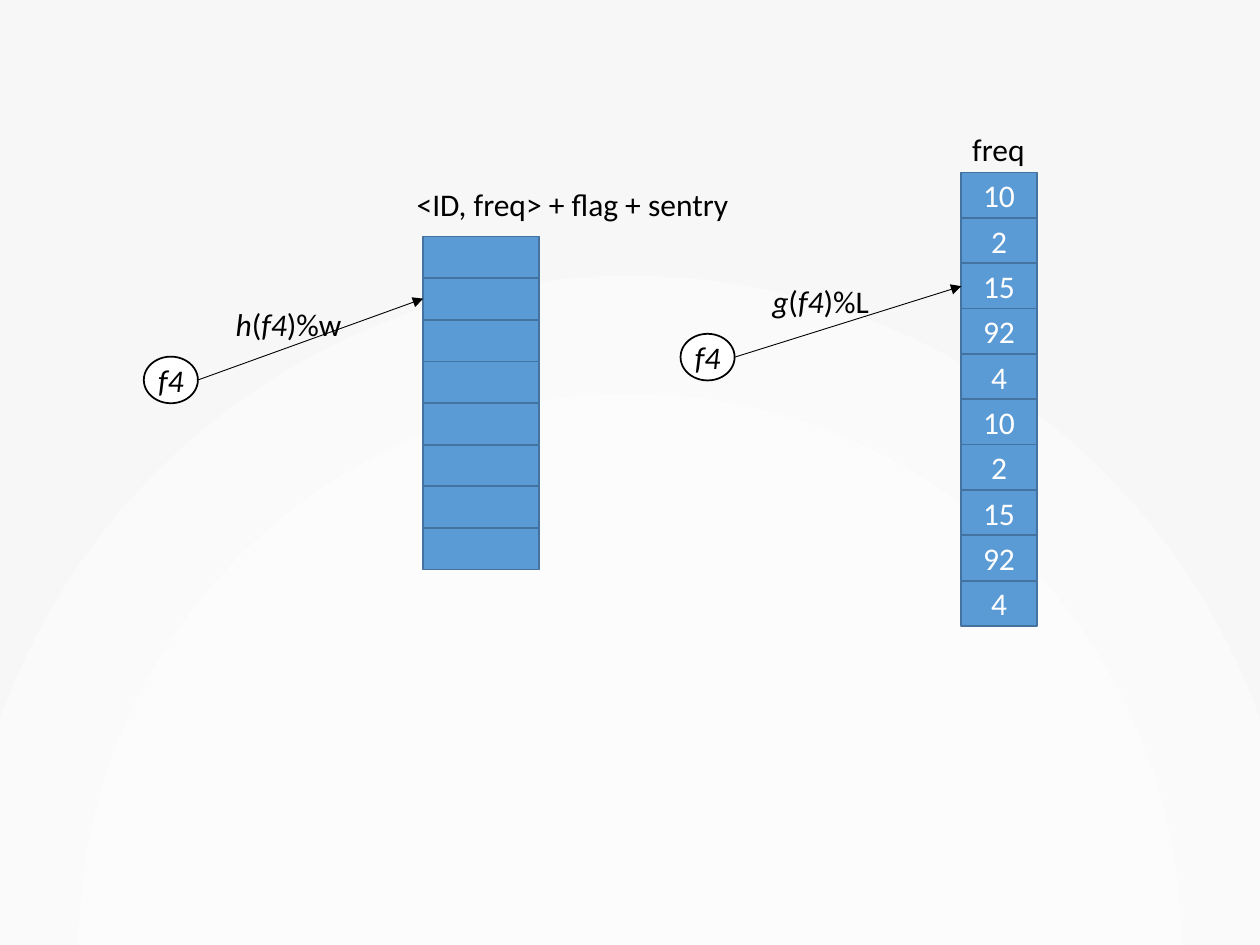
"""Build a slide that maps a flow to a bucket array and to a counter array by hashing."""
from lxml import etree
from pptx import Presentation
from pptx.dml.color import RGBColor
from pptx.enum.shapes import MSO_CONNECTOR, MSO_SHAPE
from pptx.enum.text import MSO_ANCHOR, MSO_AUTO_SIZE, PP_ALIGN
from pptx.oxml import parse_xml
from pptx.oxml.ns import nsdecls, qn
from pptx.util import Cm, Pt

RECTANGLE, OVAL = MSO_SHAPE.RECTANGLE, MSO_SHAPE.OVAL
STRAIGHT = MSO_CONNECTOR.STRAIGHT
MIDDLE, CENTER = MSO_ANCHOR.MIDDLE, PP_ALIGN.CENTER
GROW = MSO_AUTO_SIZE.SHAPE_TO_FIT_TEXT

BLACK = RGBColor(0x00, 0x00, 0x00)
WHITE = RGBColor(0xFF, 0xFF, 0xFF)
BLUE = RGBColor(0x5B, 0x9B, 0xD5)
DARK_BLUE = RGBColor(0x43, 0x73, 0x9E)
GLOW_STOPS = (
    (0, WHITE),
    (55, RGBColor(0xFC, 0xFC, 0xFC)),
    (100, RGBColor(0xF7, 0xF7, 0xF7)),
)

FLOW = "f4"
FLOW_WIDTH, FLOW_HEIGHT = 1.09, 0.94
BUCKETS = [""] * 8
COUNTERS = ["10", "2", "15", "92", "4"] * 2


def set_background(slide):
    stops = "".join(
        f'<a:gs pos="{position * 1000}"><a:srgbClr val="{color}"/></a:gs>'
        for position, color in GLOW_STOPS
    )
    background = parse_xml(
        f'<p:bg {nsdecls("p", "a")}><p:bgPr><a:gradFill rotWithShape="1">'
        f'<a:gsLst>{stops}</a:gsLst><a:path path="circle">'
        '<a:fillToRect l="50000" t="130000" r="50000" b="-30000"/></a:path>'
        "</a:gradFill><a:effectLst/></p:bgPr></p:bg>"
    )
    slide.element.cSld.insert(0, background)


def set_font(font, color):
    font.name = "Calibri"
    font.size = Pt(18)
    font.color.rgb = color


def add_box(slide, kind, left, top, width, height, text, fill, line, color):
    shape = slide.shapes.add_shape(kind, Cm(left), Cm(top), Cm(width), Cm(height))
    shape.shadow.inherit = False
    shape.fill.solid()
    shape.fill.fore_color.rgb = fill
    shape.line.color.rgb = line
    shape.line.width = Pt(1)
    if text:
        shape.text_frame.text = text
        shape.text_frame.vertical_anchor = MIDDLE
        paragraph = shape.text_frame.paragraphs[0]
        paragraph.alignment = CENTER
        set_font(paragraph.font, color)
    return shape


def add_array(slide, left, top, width, height, values):
    row_height = height / len(values)
    for row, value in enumerate(values):
        add_box(slide, RECTANGLE, left, top + row * row_height, width, row_height,
                value, BLUE, DARK_BLUE, WHITE)


def add_label(slide, left, top, width, runs, wrap=False):
    label = slide.shapes.add_textbox(Cm(left), Cm(top), Cm(width), Cm(1.02))
    label.text_frame.word_wrap = wrap
    label.text_frame.auto_size = GROW
    paragraph = label.text_frame.paragraphs[0]
    set_font(paragraph.font, BLACK)
    for text, italic in runs:
        run = paragraph.add_run()
        run.text = text
        run.font.italic = italic


def add_arrow(slide, start, end):
    arrow = slide.shapes.add_connector(STRAIGHT, *(Cm(value) for value in start + end))
    arrow.line.color.rgb = BLACK
    arrow.line.width = Pt(0.5)
    etree.SubElement(arrow.line._get_or_add_ln(), qn("a:tailEnd"), type="triangle")
    etree.SubElement(arrow.element.spPr, qn("a:effectLst"))


def add_hash(slide, left, top, target, function, modulus):
    circle = add_box(slide, OVAL, left, top, FLOW_WIDTH, FLOW_HEIGHT,
                     FLOW, WHITE, BLACK, BLACK)
    circle.text_frame.margin_left = circle.text_frame.margin_right = Cm(0.05)
    circle.text_frame.paragraphs[0].font.italic = True
    add_arrow(slide, (left + FLOW_WIDTH, top + FLOW_HEIGHT / 2), target)
    runs = [(function, True), ("(", False), (FLOW, True), (f")%{modulus}", False)]
    add_label(slide, left + 1.6, top - 1.17, 3.23, runs, wrap=True)


def main():
    presentation = Presentation()
    presentation.slide_width, presentation.slide_height = Cm(25.4), Cm(19.05)
    slide = presentation.slides.add_slide(presentation.slide_layouts[6])
    set_background(slide)
    add_array(slide, 8.53, 4.77, 2.34, 6.71, BUCKETS)
    add_array(slide, 19.38, 3.48, 1.52, 9.14, COUNTERS)
    add_label(slide, 8.15, 3.61, 6.88, [("<ID, freq> + flag + sentry", False)])
    add_label(slide, 19.35, 2.49, 1.57, [("freq", False)])
    add_hash(slide, 2.9, 7.19, (8.53, 6.02), "h", "w")
    add_hash(slide, 13.72, 6.73, (19.38, 5.77), "g", "L")
    presentation.save("out.pptx")


if __name__ == "__main__":
    main()
